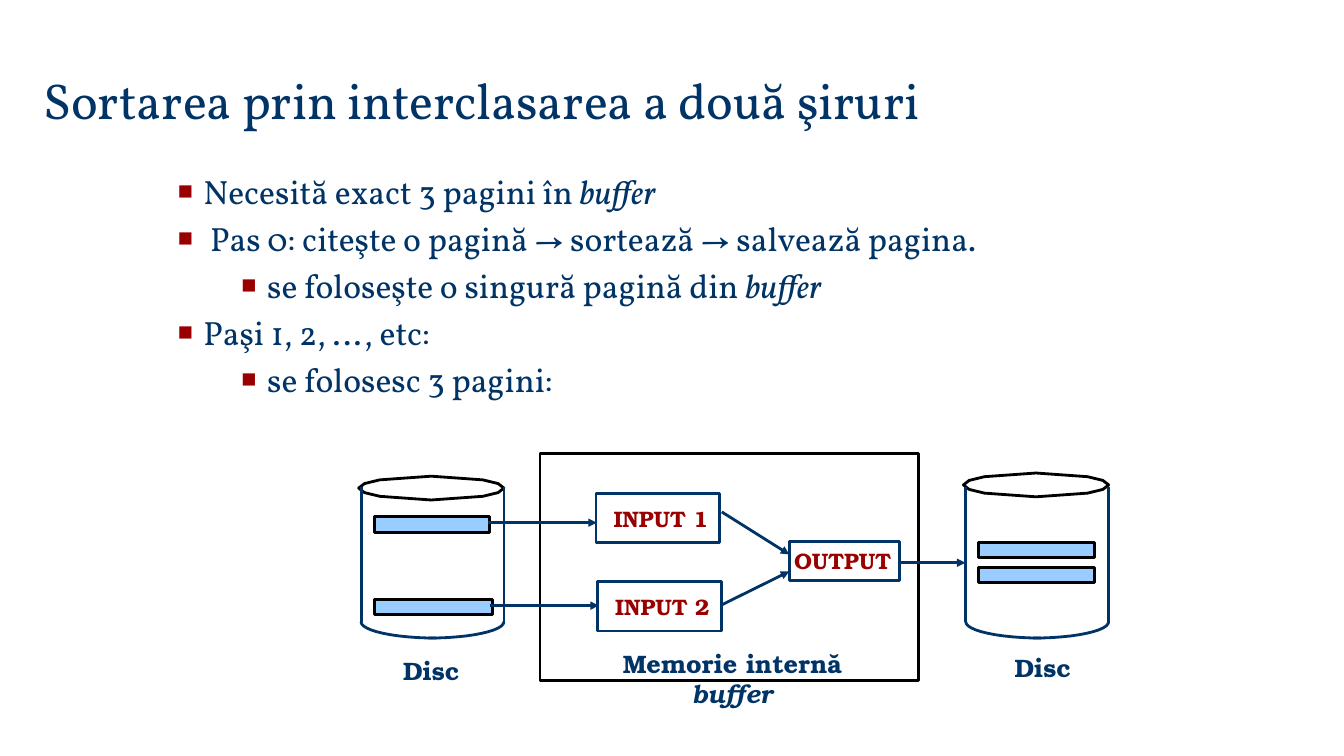
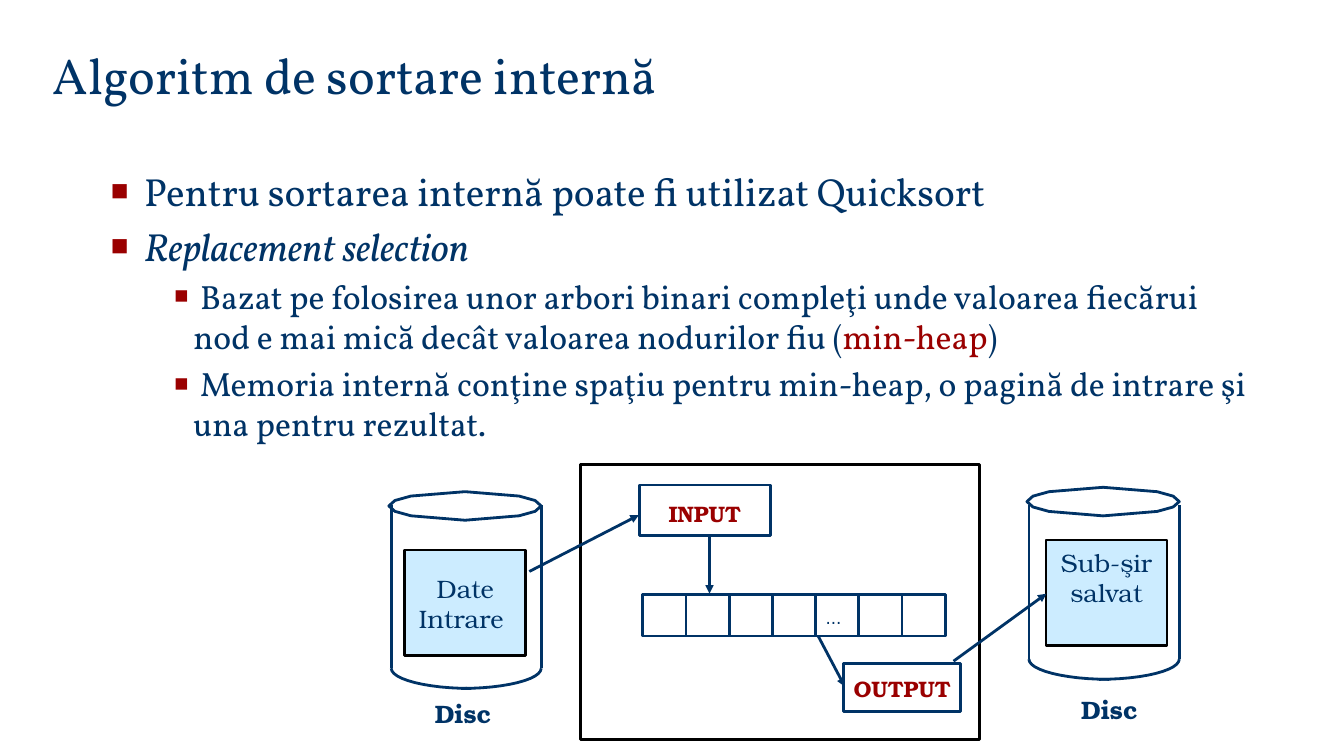
from dataclasses import dataclass
from math import cos, pi, sin

from lxml import etree
from pptx import Presentation
from pptx.dml.color import RGBColor
from pptx.enum.shapes import MSO_CONNECTOR, MSO_SHAPE
from pptx.enum.text import MSO_ANCHOR, MSO_AUTO_SIZE, PP_ALIGN
from pptx.oxml.ns import qn
from pptx.util import Cm, Pt

RECTANGLE = MSO_SHAPE.RECTANGLE
STRAIGHT = MSO_CONNECTOR.STRAIGHT
LEFT, CENTER = PP_ALIGN.LEFT, PP_ALIGN.CENTER
TOP, MIDDLE, BOTTOM = MSO_ANCHOR.TOP, MSO_ANCHOR.MIDDLE, MSO_ANCHOR.BOTTOM
NO_AUTOFIT = MSO_AUTO_SIZE.NONE


@dataclass(frozen=True)
class Theme:
    navy: str = "003366"
    red: str = "9A0000"
    black: str = "000000"
    white: str = "FFFFFF"
    page_blue: str = "99CCFF"
    data_blue: str = "CCECFF"
    text_font: str = "Vollkorn"
    diagram_font: str = "TeX Gyre Bonum"
    symbol_font: str = "DejaVu Sans"
    title_size: int = 36
    label_size: int = 18
    box_size: int = 16
    cell_size: int = 12
    line_width: int = 2


theme = Theme()


def write(paragraph, parts, font, size, color, bold=False, alignment=LEFT):
    paragraph.alignment = alignment
    for text, emphasis in parts:
        run = paragraph.add_run()
        run.text = text
        run.font.name = font
        run.font.size = Pt(size)
        run.font.bold = bold
        run.font.italic = emphasis == "italic"
        run.font.color.rgb = RGBColor.from_string(theme.red if emphasis == "accent" else color)


def paint(shape, line, fill=None):
    shape.shadow.inherit = False
    shape.line.color.rgb = RGBColor.from_string(line)
    shape.line.width = Pt(theme.line_width)
    if fill:
        shape.fill.solid()
        shape.fill.fore_color.rgb = RGBColor.from_string(fill)
    else:
        shape.fill.background()


slides = [
    {
        "title": "Sortarea prin interclasarea a două şiruri",
        "title_area": (0.84, 1.6, 28.78, 1.8),
        "body_area": (4.23, 4.17, 28.04, 6.15),
        "body_sizes": (24, 24),
        "bullet_percents": (75, 75),
        "bullets": [
            (0, [("Necesită exact 3 pagini în ", ""), ("buffer", "italic")]),
            (0, [(" Pas 0: citeşte o pagină → sortează → salvează pagina.", "")]),
            (1, [(" se foloseşte o singură pagină din ", ""), ("buffer", "italic")]),
            (0, [("Paşi 1, 2, …, etc:", "")]),
            (1, [(" se folosesc 3 pagini:", "")]),
        ],
        "memory": (13.61, 11.43, 9.54, 5.72),
        "lid_color": theme.black,
        "lid_size": (1.83, 0.3),
        "arc_size": (1.9, 0.41),
        "side_top": 12.27,
        "discs": [
            (10.87, 12.3, 9.1, 12.7, 15.67),
            (26.11, 12.22, 24.34, 27.94, 15.67),
        ],
        "pages": [
            (9.44, 13.02, 2.9, 0.41),
            (9.44, 15.1, 2.97, 0.38),
            (24.66, 13.67, 2.92, 0.38),
            (24.66, 14.31, 2.92, 0.36),
        ],
        "buffers": [
            ("INPUT 1", (15.02, 12.44, 3.12, 1.24), (0.15, 0, 0)),
            ("INPUT 2", (15.06, 14.66, 3.12, 1.24), (0.15, 0, 0)),
            ("OUTPUT", (19.89, 13.64, 2.79, 0.99), (0, 0, 0.1)),
        ],
        "data": [],
        "cells": [],
        "labels": [
            ([("Memorie internă ", ""), ("buffer", "italic")], (15.32, 16.21, 6.28, 1.78)),
            ([("Disc", "")], (9.88, 16.38, 1.98, 1.02)),
            ([("Disc", "")], (25.29, 16.31, 1.98, 1.02)),
        ],
        "arrows": [
            (12.29, 13.17, 15.04, 13.17),
            (12.34, 15.26, 15.09, 15.26),
            (18.19, 12.9, 19.89, 13.97),
            (18.19, 15.24, 19.89, 14.4),
            (22.63, 14.18, 24.33, 14.18),
        ],
    },
    {
        "title": "Algoritm de sortare internă",
        "title_area": (1.07, 0.97, 28.58, 1.8),
        "body_area": (2.54, 4.08, 29.21, 13.06),
        "body_sizes": (28, 24),
        "bullet_percents": (75, 70),
        "bullets": [
            (0, [(" Pentru sortarea internă poate fi utilizat Quicksort", "")]),
            (0, [(" ", ""), ("Replacement selection", "italic")]),
            (1, [
                (" Bazat pe folosirea unor arbori binari compleţi unde valoarea fiecărui nod"
                 " e mai mică decât valoarea nodurilor fiu (", ""),
                ("min-heap", "accent"),
                (")", ""),
            ]),
            (1, [(" Memoria internă conţine spaţiu pentru min-heap, o pagină de intrare şi"
                  " una pentru rezultat.", "")]),
        ],
        "memory": (14.62, 11.7, 10.06, 6.93),
        "lid_color": theme.navy,
        "lid_size": (1.92, 0.36),
        "arc_size": (2.02, 0.51),
        "side_top": 12.73,
        "discs": [
            (11.72, 12.75, 9.86, 13.64, 16.84),
            (27.8, 12.64, 25.93, 29.72, 16.61),
        ],
        "pages": [],
        "buffers": [
            ("INPUT", (16.11, 12.22, 3.3, 1.27), (0, 0.18, 0)),
            ("OUTPUT", (21.26, 16.71, 2.95, 1.22), (0, 0.04, 0)),
        ],
        "data": [
            (["Date", "Intrare "], (10.2, 13.86, 3.05, 2.65), MIDDLE),
            (["Sub-şir salvat"], (26.36, 13.61, 3.05, 2.65), TOP),
        ],
        "cells": ["", "", "", "", "...", "", ""],
        "labels": [
            ([("Disc", "")], (10.69, 17.48, 1.96, 1.02)),
            ([("Disc", "")], (26.97, 17.37, 1.98, 1.02)),
        ],
        "arrows": [
            (13.34, 14.4, 16.1, 12.98),
            (17.88, 13.49, 17.88, 14.96),
            (24.03, 16.66, 26.37, 14.96),
            (20.62, 16.03, 21.29, 17.3),
        ],
    },
]

bullet_indents = [(0.64, -0.64), (2.08, -0.48)]
half_lid = [(1, 0), (0.92, -0.38), (0.71, -0.69), (0, -1), (-0.71, -0.69), (-0.92, -0.38)]
lid_outline = half_lid + [(-x, -y) for x, y in half_lid]
arc_steps = 12
quarter = [pi / 2 * step / arc_steps for step in range(arc_steps + 1)]
cells_left, cells_top, cells_width, cells_height = 16.2, 14.99, 7.62, 1.04

presentation = Presentation()
presentation.slide_width = Cm(33.87)
presentation.slide_height = Cm(19.05)

for content in slides:
    slide = presentation.slides.add_slide(presentation.slide_layouts[0])
    shapes = slide.shapes
    strokes = [(ends, True) for ends in content["arrows"]]
    title, body = shapes.title, slide.placeholders[1]
    for placeholder, area, anchor in (
        (title, content["title_area"], BOTTOM),
        (body, content["body_area"], TOP),
    ):
        placeholder.left, placeholder.top, placeholder.width, placeholder.height = map(Cm, area)
        placeholder.text_frame.vertical_anchor = anchor
        placeholder.text_frame.auto_size = NO_AUTOFIT
        placeholder.text_frame.word_wrap = True

    write(title.text_frame.paragraphs[0], [(content["title"], "")],
          theme.text_font, theme.title_size, theme.navy)

    for index, (level, parts) in enumerate(content["bullets"]):
        frame = body.text_frame
        paragraph = frame.add_paragraph() if index else frame.paragraphs[0]
        size = content["body_sizes"][level]
        write(paragraph, parts, theme.text_font, size, theme.navy)
        paragraph.level = level
        paragraph.space_before = Pt(size * 0.2)
        properties = paragraph._p.get_or_add_pPr()
        margin, indent = bullet_indents[level]
        properties.set("marL", str(Cm(margin)))
        properties.set("indent", str(Cm(indent)))
        bullet_color = etree.SubElement(properties, qn("a:buClr"))
        etree.SubElement(bullet_color, qn("a:srgbClr"), val=theme.red)
        percent = content["bullet_percents"][level]
        etree.SubElement(properties, qn("a:buSzPct"), val=str(percent * 1000))
        etree.SubElement(properties, qn("a:buChar"), char="■")

    memory = shapes.add_shape(RECTANGLE, *map(Cm, content["memory"]))
    paint(memory, theme.black)

    lid_radius, lid_height = content["lid_size"]
    arc_width, arc_height = content["arc_size"]
    for center, lid, left, right, bottom in content["discs"]:
        rim = [(center + lid_radius * x, lid + lid_height * y) for x, y in lid_outline]
        outlines = [(rim, True, content["lid_color"])]
        for edge, direction in ((left, 1), (right, -1)):
            arc = [(edge + direction * arc_width * (1 - cos(angle)),
                    bottom + arc_height * sin(angle)) for angle in quarter]
            outlines.append((arc, False, theme.navy))
            strokes.append(((edge, content["side_top"], edge, bottom), False))
        for outline, closed, color in outlines:
            points = [(Cm(x), Cm(y)) for x, y in outline]
            builder = shapes.build_freeform(*points[0])
            builder.add_line_segments(points[1:], close=closed)
            paint(builder.convert_to_shape(), color)

    for area in content["pages"]:
        page = shapes.add_shape(RECTANGLE, *map(Cm, area))
        paint(page, theme.black, theme.page_blue)

    for name, area, margins in content["buffers"]:
        buffer = shapes.add_shape(RECTANGLE, *map(Cm, area))
        paint(buffer, theme.navy, theme.white)
        frame = buffer.text_frame
        frame.margin_left, frame.margin_top, frame.margin_right = map(Cm, margins)
        frame.margin_bottom = 0
        frame.vertical_anchor = MIDDLE
        write(frame.paragraphs[0], [(name, "")], theme.diagram_font, theme.box_size,
              theme.red, bold=True, alignment=CENTER)

    for lines, area, anchor in content["data"]:
        data = shapes.add_shape(RECTANGLE, *map(Cm, area))
        paint(data, theme.black, theme.data_blue)
        frame = data.text_frame
        frame.margin_left = frame.margin_right = Cm(0.2)
        frame.margin_top = Cm(0.18)
        frame.vertical_anchor = anchor
        for index, line in enumerate(lines):
            paragraph = frame.add_paragraph() if index else frame.paragraphs[0]
            write(paragraph, [(line, "")], theme.diagram_font, theme.label_size,
                  theme.navy, alignment=CENTER)

    if content["cells"]:
        heap = shapes.add_shape(RECTANGLE, Cm(cells_left), Cm(cells_top),
                                Cm(cells_width), Cm(cells_height))
        paint(heap, theme.navy, theme.white)
    for index, text in enumerate(content["cells"]):
        cell_width = cells_width / len(content["cells"])
        cell_left = cells_left + index * cell_width
        if index:
            strokes.append(((cell_left, cells_top, cell_left, cells_top + cells_height), False))
        if text:
            cell = shapes.add_textbox(Cm(cell_left), Cm(cells_top + 0.2), Cm(cell_width), Cm(0.76))
            cell.text_frame.word_wrap = True
            write(cell.text_frame.paragraphs[0], [(text, "")], theme.symbol_font,
                  theme.cell_size, theme.navy)

    for parts, area in content["labels"]:
        label = shapes.add_textbox(*map(Cm, area))
        frame = label.text_frame
        frame.word_wrap = True
        frame.margin_left = frame.margin_right = 0
        write(frame.paragraphs[0], parts, theme.diagram_font, theme.label_size,
              theme.navy, bold=True, alignment=CENTER)

    for ends, has_head in strokes:
        stroke = shapes.add_connector(STRAIGHT, *map(Cm, ends))
        stroke.line.color.rgb = RGBColor.from_string(theme.navy)
        stroke.line.width = Pt(theme.line_width)
        if has_head:
            etree.SubElement(stroke.line._get_or_add_ln(), qn("a:tailEnd"), type="triangle")
        etree.SubElement(stroke._element.spPr, qn("a:effectLst"))

presentation.save("out.pptx")
